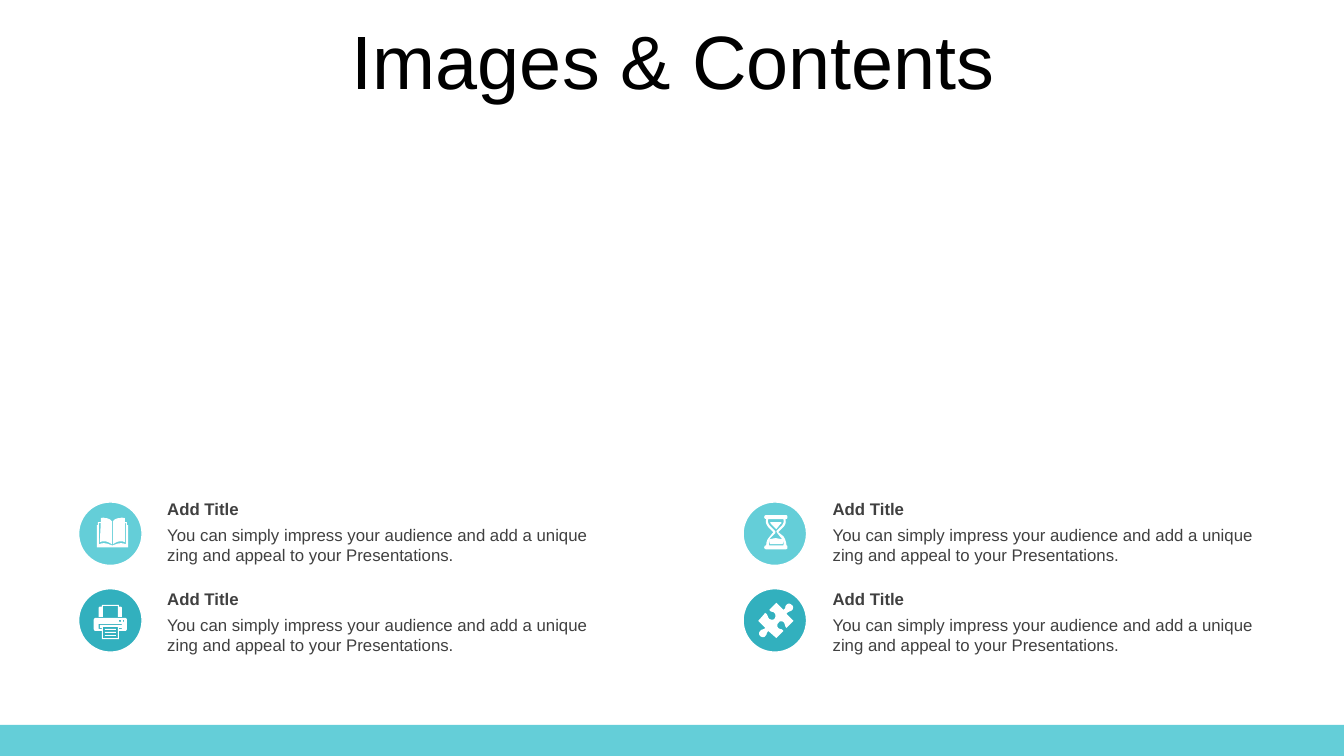
from dataclasses import dataclass
from typing import NamedTuple

from pptx import Presentation
from pptx.dml.color import RGBColor
from pptx.enum.shapes import MSO_SHAPE as Preset
from pptx.enum.text import MSO_ANCHOR as Anchor, PP_ALIGN as Align
from pptx.shapes.autoshape import Shape
from pptx.shapes.shapetree import SlideShapes
from pptx.util import Inches, Length, Pt


@dataclass(frozen=True)
class Theme:
    """Colours, font and type sizes of the slide."""
    light: RGBColor = RGBColor(0x64, 0xCE, 0xD8)
    deep: RGBColor = RGBColor(0x32, 0xB0, 0xBE)
    white: RGBColor = RGBColor(0xFF, 0xFF, 0xFF)
    black: RGBColor = RGBColor(0x00, 0x00, 0x00)
    grey: RGBColor = RGBColor(0x40, 0x40, 0x40)
    font: str = "Arial"
    title_size: Length = Pt(54)
    text_size: Length = Pt(12)


class Box(NamedTuple):
    """Place and size in inches."""
    left: float
    top: float
    width: float
    height: float

    def lengths(self) -> list[Length]:
        """Return the four values as lengths."""
        return [Inches(value) for value in self]


@dataclass(frozen=True)
class Grid:
    """A cell that repeats by column and row, in inches."""
    first: Box
    column_step: float
    row_step: float

    def cell(self, column: int, row: int) -> Box:
        """Return the box at a column and row."""
        return self.first._replace(left=self.first.left + column * self.column_step,
                                   top=self.first.top + row * self.row_step)


class Feature(NamedTuple):
    """One icon with its heading and text."""
    column: int
    row: int
    icon: str
    heading: str = "Add Title"
    body: str = ("You can simply impress your audience and add a unique "
                 "zing and appeal to your Presentations.")


THEME = Theme()
BADGES = Grid(Box(0.78, 4.98, 0.63, 0.63), 6.59, 0.86)
HEADINGS = Grid(Box(1.56, 4.9, 4.39, 0.3), 6.6, 0.89)
BODIES = Grid(Box(1.56, 5.16, 4.39, 0.5), 6.6, 0.89)
BADGE_FILLS = (THEME.light, THEME.deep)

# Icon outlines: M, L and C commands in hundredths of an inch from the badge corner.
BOOK = """
M 33 43 C 33 43 34 43 34 43 C 39 41 42 40 47 42 L 47 21 46 21 C 46 27 46 33 46 40
C 42 38 38 39 34 42 L 34 19 C 36 17 38 16 41 16 C 43 15 44 16 46 16 C 46 17 46 19 46 20
L 48 20 48 23 49 23 49 45 18 45 18 23 19 23 19 20 22 20 C 22 19 22 17 22 16
C 23 16 25 15 26 16 C 29 16 31 17 33 19 L 33 42 C 29 39 25 38 21 40
L 22 21 20 21 20 42 C 25 40 28 41 33 43"""
PRINTER_LINES = "".join(f"M 26 {y} L 37 {y} 37 {y + 1} 26 {y + 1} " for y in (40, 43, 46))
PRINTER = PRINTER_LINES + """
M 24 38 L 24 49 39 49 39 38
M 20 35 L 20 40 23 40 23 39 21 39 21 36 43 36 43 39 40 39 40 40 43 40 43 35
M 45 31 C 44 31 44 31 44 32 C 44 33 44 33 45 33 C 45 33 45 33 45 32 C 45 31 45 31 45 31
M 41 31 C 41 31 40 31 40 32 C 40 33 41 33 41 33 C 42 33 42 33 42 32 C 42 31 42 31 41 31
M 17 29 L 46 29 C 47 29 48 30 48 31 L 48 40 C 48 41 47 42 46 42 L 40 42 40 50 23 50 23 42
17 42 C 16 42 15 41 15 40 L 15 31 C 15 30 16 29 17 29
M 23 16 L 40 16 40 18 42 18 C 43 18 43 19 43 20 L 43 28 39 28 39 17 24 17 24 28
20 28 20 20 C 20 19 20 18 21 18 L 23 18"""
HOURGLASS = """
M 33 36 C 35 36 37 37 39 37 C 40 39 40 41 39 42 L 27 42 C 26 41 26 39 27 37
C 30 36 32 36 33 36
M 27 20 L 38 20 C 38 21 38 22 37 22 L 33 27 28 22 C 28 22 27 21 27 20
M 25 17 C 24 19 25 22 27 24 L 32 29 32 31 27 36 C 26 38 25 41 26 43 L 40 43
C 41 40 40 38 38 36 L 34 31 33 29 38 24 C 40 22 41 19 40 17
M 23 13 L 42 13 C 44 13 44 14 44 15 C 44 16 44 17 42 17 C 43 20 42 23 40 25
L 35 30 40 34 C 42 37 43 40 43 43 C 44 43 44 44 44 45 C 44 46 44 47 42 47 L 23 47
C 22 47 21 46 21 45 C 21 44 22 43 23 43 C 23 40 24 37 26 35 L 30 30 26 26
C 23 23 22 20 23 17 C 22 17 21 16 21 15 C 21 14 22 13 23 13"""
PUZZLE = """
M 48 16 C 50 17 50 19 49 21 C 47 23 45 22 43 25 L 50 32 43 39 C 41 37 42 35 40 33
C 38 32 36 32 35 34 C 34 35 33 37 35 39 C 37 41 38 39 40 42 L 33 49 25 42
C 23 44 24 45 22 47 C 21 49 18 48 17 47 C 16 46 15 44 17 42 C 18 40 20 41 22 39
L 15 32 22 24 C 25 26 24 28 26 30 C 28 31 30 31 31 30 C 32 29 33 26 31 24
C 29 22 28 24 26 21 L 33 14 40 21 C 43 19 41 18 43 16 C 45 14 47 15 48 16"""

FEATURES = (Feature(0, 0, BOOK), Feature(0, 1, PRINTER),
            Feature(1, 0, HOURGLASS), Feature(1, 1, PUZZLE))

Point = tuple[float, float]


def curve(points: list[Point], steps: int = 6) -> list[Point]:
    """Return points along a cubic curve, without its start."""
    def at(t: float) -> Point:
        """Return the curve point at t."""
        weights = ((1 - t) ** 3, 3 * t * (1 - t) ** 2, 3 * t * t * (1 - t), t ** 3)
        return (sum(w * x for w, (x, _) in zip(weights, points)),
                sum(w * y for w, (_, y) in zip(weights, points)))
    return [at(step / steps) for step in range(1, steps + 1)]


def contours(outline: str) -> list[list[Point]]:
    """Turn an icon outline into closed runs of points."""
    runs: list[list[Point]] = []
    for contour in outline.split("M")[1:]:
        run: list[Point] = []
        for piece in contour.replace("L", "|L").replace("C", "|C").split("|"):
            numbers = [float(word) for word in piece.strip("LC \n").split()]
            points = list(zip(numbers[::2], numbers[1::2]))
            run += curve([run[-1], *points]) if piece.startswith("C") else points
        runs.append(run)
    return runs


def paint(shape: Shape, fill: RGBColor) -> None:
    """Give a shape a plain fill with no outline or shadow."""
    shape.shadow.inherit = False
    shape.fill.solid()
    shape.fill.fore_color.rgb = fill
    shape.line.fill.background()


def add_preset(shapes: SlideShapes, preset: Preset, box: Box, fill: RGBColor) -> Shape:
    """Add a plain preset shape."""
    shape = shapes.add_shape(preset, *box.lengths())
    paint(shape, fill)
    return shape


def add_icon(shapes: SlideShapes, outline: str, badge: Box) -> None:
    """Draw a white icon on its badge."""
    first, *others = contours(outline)
    builder = shapes.build_freeform(*(10 * v for v in first[0]), scale=Inches(1) / 1000)
    for run in (first, *others):
        if run is not first:
            builder.move_to(*(10 * v for v in run[0]))
        builder.add_line_segments([(10 * x, 10 * y) for x, y in run[1:]], close=True)
    left, top, *_ = badge.lengths()
    paint(builder.convert_to_shape(left, top), THEME.white)


def add_text(shapes: SlideShapes, box: Box, text: str, size: Length, color: RGBColor,
             bold: bool = False, anchor: Anchor = Anchor.TOP, **formats: object) -> None:
    """Add a wrapped text box; formats are paragraph attributes."""
    frame = shapes.add_textbox(*box.lengths()).text_frame
    frame.word_wrap = True
    frame.vertical_anchor = anchor
    paragraph = frame.paragraphs[0]
    for name, value in formats.items():
        setattr(paragraph, name, value)
    run = paragraph.add_run()
    run.text = text
    for name, value in {"name": THEME.font, "size": size, "bold": bold}.items():
        setattr(run.font, name, value)
    run.font.color.rgb = color


def add_feature(shapes: SlideShapes, feature: Feature) -> None:
    """Add a badge, its icon, heading and body."""
    place = feature.column, feature.row
    badge_box = BADGES.cell(*place)
    badge = add_preset(shapes, Preset.OVAL, badge_box, BADGE_FILLS[feature.row])
    badge.line.color.rgb = THEME.white
    badge.line.width = Pt(1)
    add_icon(shapes, feature.icon, badge_box)
    add_text(shapes, BODIES.cell(*place), feature.body, THEME.text_size, THEME.grey)
    add_text(shapes, HEADINGS.cell(*place), feature.heading, THEME.text_size, THEME.grey, bold=True)


deck = Presentation()
deck.slide_width, deck.slide_height = Inches(13.33), Inches(7.5)
canvas = deck.slides.add_slide(deck.slide_layouts[6]).shapes
add_preset(canvas, Preset.RECTANGLE, Box(0, 7.19, 13.33, 0.31), THEME.light)
add_text(canvas, Box(0.35, 0.25, 12.66, 0.79), "Images & Contents", THEME.title_size, THEME.black,
         anchor=Anchor.MIDDLE, alignment=Align.CENTER, line_spacing=0.9, space_before=Pt(10))
for item in FEATURES:
    add_feature(canvas, item)
deck.save("out.pptx")
